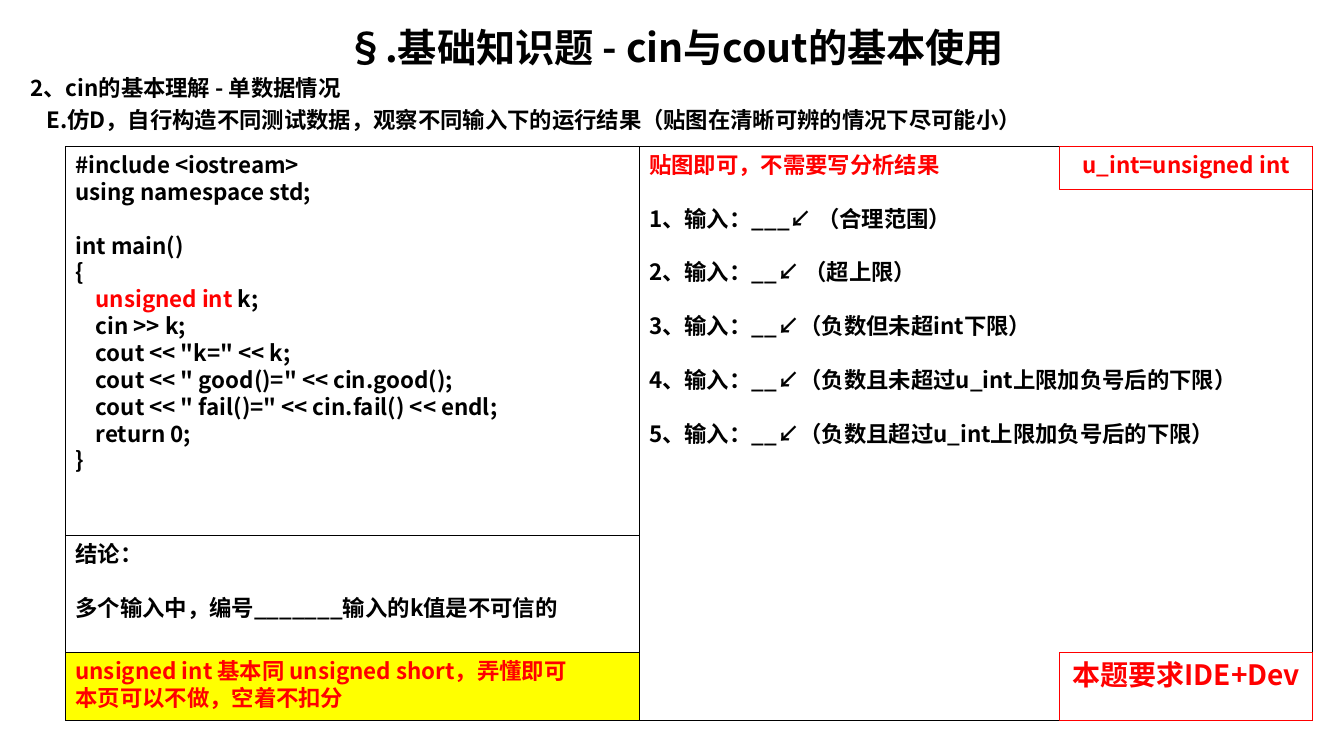
from lxml import etree
from pptx import Presentation
from pptx.dml.color import RGBColor
from pptx.enum.shapes import MSO_SHAPE
from pptx.enum.text import MSO_ANCHOR, MSO_AUTO_SIZE, PP_ALIGN
from pptx.oxml.ns import qn
from pptx.util import Inches, Pt

RECT = MSO_SHAPE.RECTANGLE
TOP = MSO_ANCHOR.TOP
FIXED = MSO_AUTO_SIZE.NONE
LEFT, CENTER = PP_ALIGN.LEFT, PP_ALIGN.CENTER

BLACK = RGBColor(0x00, 0x00, 0x00)
RED = RGBColor(0xFF, 0x00, 0x00)
YELLOW = RGBColor(0xFF, 0xFF, 0x00)

FONT = "Noto Sans CJK SC"
SIZE = 16
PITCH = 1.2  # line height over font size
BLANK = SIZE * PITCH  # gap as tall as one line

LEFT_X, MID_X, RIGHT_X = 0.65, 6.34, 13.02
TOP_Y, END_Y, SUM_Y, NOTE_Y = 1.45, 7.15, 5.31, 6.47
LEFT_W = MID_X - LEFT_X
TAG_W = 2.51
TAG_X = RIGHT_X - TAG_W

CODE = [
    "#include <iostream>",
    "using namespace std;",
    "int main()",
    "{",
    [("    ", BLACK), ("unsigned int ", RED), ("k;", BLACK)],
    "    cin >> k;",
    '    cout << "k=" << k;',
    '    cout << " good()=" << cin.good();',
    '    cout << " fail()=" << cin.fail() << endl;',
    "    return 0;",
    "}",
]
TASKS = [
    [("贴图即可，不需要写分析结果", RED)],
    "1、输入：___↙ （合理范围）",
    "2、输入：__↙ （超上限）",
    "3、输入：__↙（负数但未超int下限）",
    "4、输入：__↙（负数且未超过u_int上限加负号后的下限）",
    "5、输入：__↙（负数且超过u_int上限加负号后的下限）",
]
RESULT = ["结论：", "多个输入中，编号_______输入的k值是不可信的"]
NOTE = ["unsigned int 基本同 unsigned short，弄懂即可", "本页可以不做，空着不扣分"]
HEADS = ["2、cin的基本理解 - 单数据情况",
         "E.仿D，自行构造不同测试数据，观察不同输入下的运行结果（贴图在清晰可辨的情况下尽可能小）"]


def place(shape, x, y, w, h):
    shape.left, shape.top = Inches(x), Inches(y)
    shape.width, shape.height = Inches(w), Inches(h)


def add_run(para, text, color, size):
    run = para.add_run()
    run.text = text
    font = run.font
    font.name, font.size, font.bold = FONT, Pt(size), True
    font.color.rgb = color
    east = etree.SubElement(run._r.get_or_add_rPr(), qn("a:ea"))
    east.set("typeface", FONT)


def write(shape, lines, color=BLACK, size=SIZE, align=LEFT, gaps=None):
    """Fill a shape; gaps maps a line number to its space before in points."""
    frame = shape.text_frame
    frame.word_wrap = True
    frame.auto_size = FIXED
    frame.vertical_anchor = TOP
    for i, line in enumerate(lines):
        para = frame.add_paragraph() if i else frame.paragraphs[0]
        para.alignment = align
        para.line_spacing = Pt(size * PITCH)
        para.space_before = Pt((gaps or {}).get(i, 0))
        runs = [(line, color)] if isinstance(line, str) else line
        for text, tint in runs:
            add_run(para, text, tint, size)


def add_box(slide, x, y, w, h, lines, edge=BLACK, fill=None, **style):
    box = slide.shapes.add_shape(RECT, Inches(x), Inches(y), Inches(w), Inches(h))
    box.shadow.inherit = False
    if fill is None:
        box.fill.background()
    else:
        box.fill.solid()
        box.fill.fore_color.rgb = fill
    box.line.color.rgb = edge
    box.line.width = Pt(0.75)
    write(box, lines, **style)


def add_heads(slide):
    title, body = slide.shapes.title, slide.placeholders[1]
    place(title, 0.2, 0.18, 12.99, 0.55)
    write(title, ["§.基础知识题 - cin与cout的基本使用"], size=28, align=CENTER)
    place(body, 0.2, 0.69, 12.99, 0.72)
    write(body, HEADS, gaps={1: SIZE * 0.2})
    for para, inset in zip(body.text_frame.paragraphs, (0, 0.16)):
        props = para._p.get_or_add_pPr()
        props.set("marL", str(Inches(inset)))
        props.set("indent", "0")
        etree.SubElement(props, qn("a:buNone"))


def main():
    deck = Presentation()
    deck.slide_width, deck.slide_height = Inches(13.33), Inches(7.5)
    slide = deck.slides.add_slide(deck.slide_layouts[1])
    add_heads(slide)

    add_box(slide, LEFT_X, TOP_Y, LEFT_W, END_Y - TOP_Y, CODE, gaps={2: BLANK})
    add_box(slide, MID_X, TOP_Y, RIGHT_X - MID_X, END_Y - TOP_Y, TASKS,
            gaps=dict.fromkeys(range(1, len(TASKS)), BLANK))
    add_box(slide, TAG_X, NOTE_Y, TAG_W, END_Y - NOTE_Y, ["本题要求IDE+Dev"],
            edge=RED, color=RED, size=20, align=CENTER)
    add_box(slide, LEFT_X, SUM_Y, LEFT_W, END_Y - SUM_Y, RESULT, gaps={1: BLANK})
    add_box(slide, TAG_X, TOP_Y, TAG_W, 0.43, ["u_int=unsigned int"],
            edge=RED, color=RED, align=CENTER)
    add_box(slide, LEFT_X, NOTE_Y, LEFT_W, END_Y - NOTE_Y, NOTE,
            fill=YELLOW, color=RED)
    deck.save("out.pptx")


if __name__ == "__main__":
    main()
